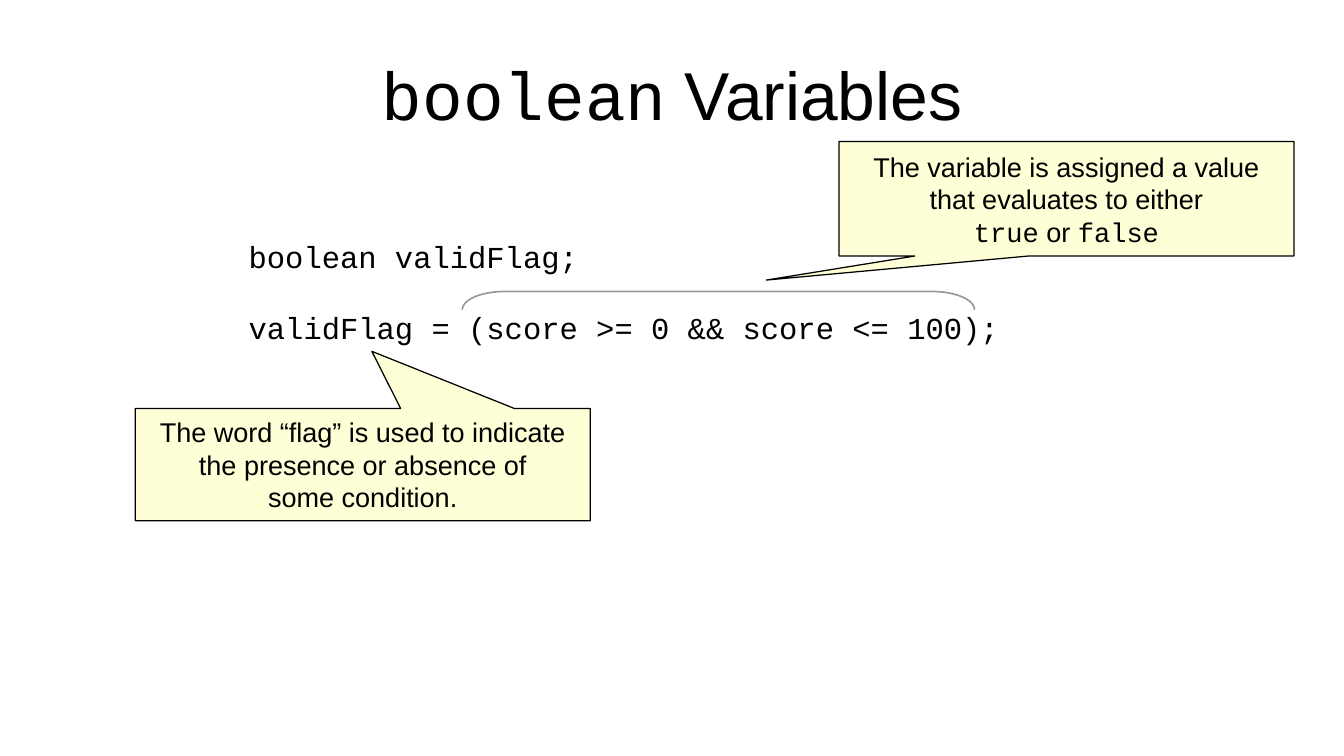
from dataclasses import dataclass

from pptx import Presentation
from pptx.dml.color import RGBColor
from pptx.enum.shapes import MSO_SHAPE
from pptx.enum.text import MSO_ANCHOR, PP_ALIGN
from pptx.util import Inches, Pt

CALLOUT = MSO_SHAPE.RECTANGULAR_CALLOUT
BRACKET = MSO_SHAPE.LEFT_BRACKET
TOP, MIDDLE = MSO_ANCHOR.TOP, MSO_ANCHOR.MIDDLE
LEFT, CENTER = PP_ALIGN.LEFT, PP_ALIGN.CENTER


@dataclass(frozen=True)
class Theme:
    text: RGBColor = RGBColor(0x00, 0x00, 0x00)
    note: RGBColor = RGBColor(0xFF, 0xFF, 0xD7)
    bracket: RGBColor = RGBColor(0x99, 0x99, 0x99)
    sans: str = "Arial"
    mono: str = "Courier New"
    title_size: float = 40
    code_size: float = 18
    note_size: float = 16
    code_gap: float = 20.4


THEME = Theme()


def write(shape, lines, *, size, align=LEFT, anchor=TOP, gap=0, inset=(0.1, 0.05), wrap=False):
    """Fill a shape with lines, each a list of (text, font) runs."""
    tf = shape.text_frame
    tf.word_wrap = wrap
    tf.vertical_anchor = anchor
    tf.margin_left = tf.margin_right = Inches(inset[0])
    tf.margin_top = tf.margin_bottom = Inches(inset[1])
    for i, runs in enumerate(lines):
        p = tf.add_paragraph() if i else tf.paragraphs[0]
        p.alignment = align
        if i and gap:
            p.space_before = Pt(gap)
        for text, font in runs:
            r = p.add_run()
            r.text = text
            r.font.name = font
            r.font.size = Pt(size)
            r.font.color.rgb = THEME.text


def add_title(s, x, y, w, h):
    tb = s.shapes.add_textbox(Inches(x), Inches(y), Inches(w), Inches(h))
    write(tb, [[("boolean", THEME.mono), (" Variables", THEME.sans)]],
          size=THEME.title_size, align=CENTER, anchor=MIDDLE, inset=(0, 0), wrap=True)


def add_code(s, x, y, w, h, lines):
    tb = s.shapes.add_textbox(Inches(x), Inches(y), Inches(w), Inches(h))
    write(tb, [[(line, THEME.mono)] for line in lines],
          size=THEME.code_size, gap=THEME.code_gap)


def add_callout(s, x, y, w, h, tip, lines):
    """Draw a note whose tip is offset from its centre, as fractions of its size."""
    sp = s.shapes.add_shape(CALLOUT, Inches(x), Inches(y), Inches(w), Inches(h))
    sp.shadow.inherit = False
    sp.adjustments[0], sp.adjustments[1] = tip
    sp.fill.solid()
    sp.fill.fore_color.rgb = THEME.note
    sp.line.color.rgb = THEME.text
    sp.line.width = Pt(0)
    write(sp, lines, size=THEME.note_size, align=CENTER, anchor=MIDDLE)


def add_over_bracket(s, x, y, w, h, corner=0.35):
    """Turn a left bracket to lie over the given box, opening downwards."""
    sp = s.shapes.add_shape(BRACKET, Inches(x + (w - h) / 2), Inches(y + (h - w) / 2),
                            Inches(h), Inches(w))
    sp.rotation = 90
    sp.shadow.inherit = False
    sp.adjustments[0] = corner / h
    sp.fill.background()
    sp.line.color.rgb = THEME.bracket
    sp.line.width = Pt(1)


def build_slide(prs):
    s = prs.slides.add_slide(prs.slide_layouts[6])
    sans, mono = THEME.sans, THEME.mono
    add_title(s, 0.55, 0.25, 9.92, 1.04)
    add_code(s, 1.94, 1.9, 6.35, 0.95,
             ["boolean validFlag;", "validFlag = (score >= 0 && score <= 100);"])
    add_callout(s, 1.11, 3.35, 3.73, 0.92, (0.02, -1.01), [
        [("The word “flag” is used to indicate", sans)],
        [("the presence or absence of", sans)],
        [("some condition.", sans)],
    ])
    add_callout(s, 6.88, 1.16, 3.73, 0.94, (-0.66, 0.71), [
        [("The variable is assigned a value", sans)],
        [("that evaluates to either", sans)],
        [("true", mono), (" or ", sans), ("false", mono)],
    ])
    add_over_bracket(s, 3.79, 2.39, 4.2, 0.15)


def main():
    prs = Presentation()
    prs.slide_width, prs.slide_height = Inches(11.02), Inches(6.2)
    build_slide(prs)
    prs.save("out.pptx")


if __name__ == "__main__":
    main()
